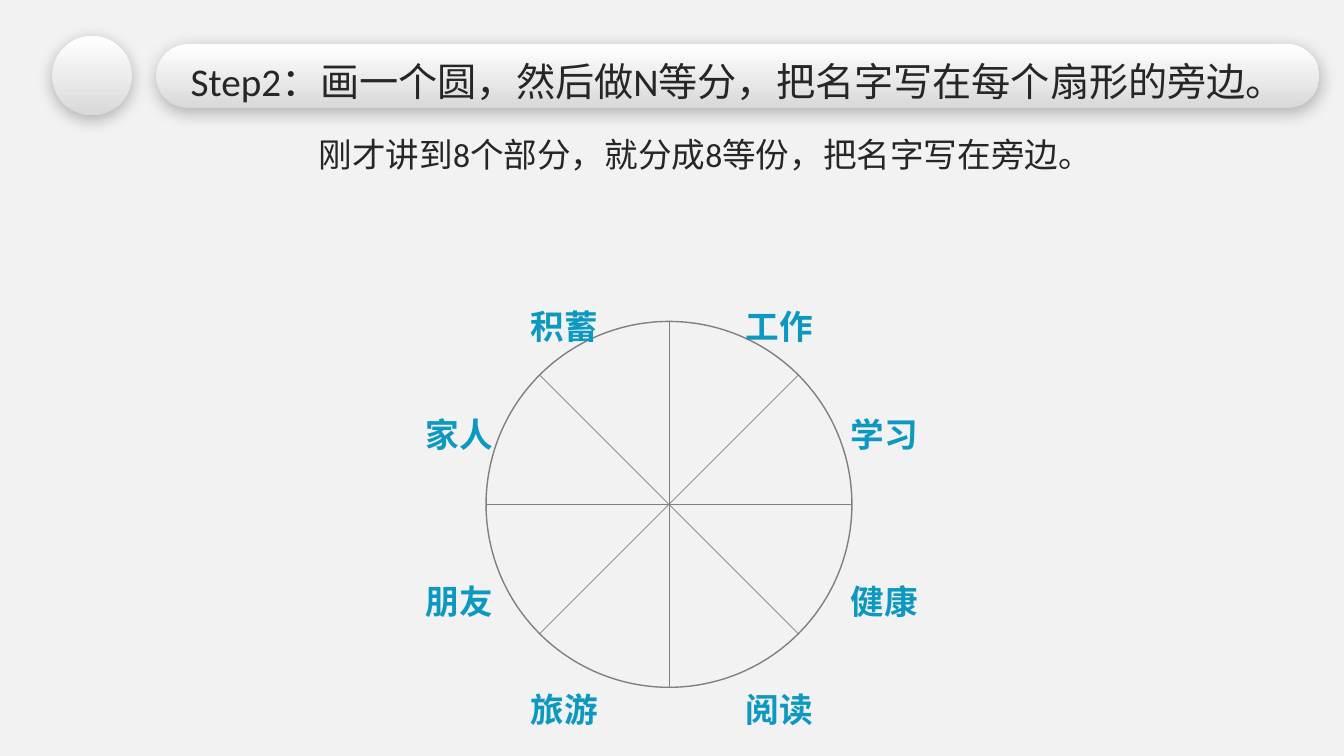
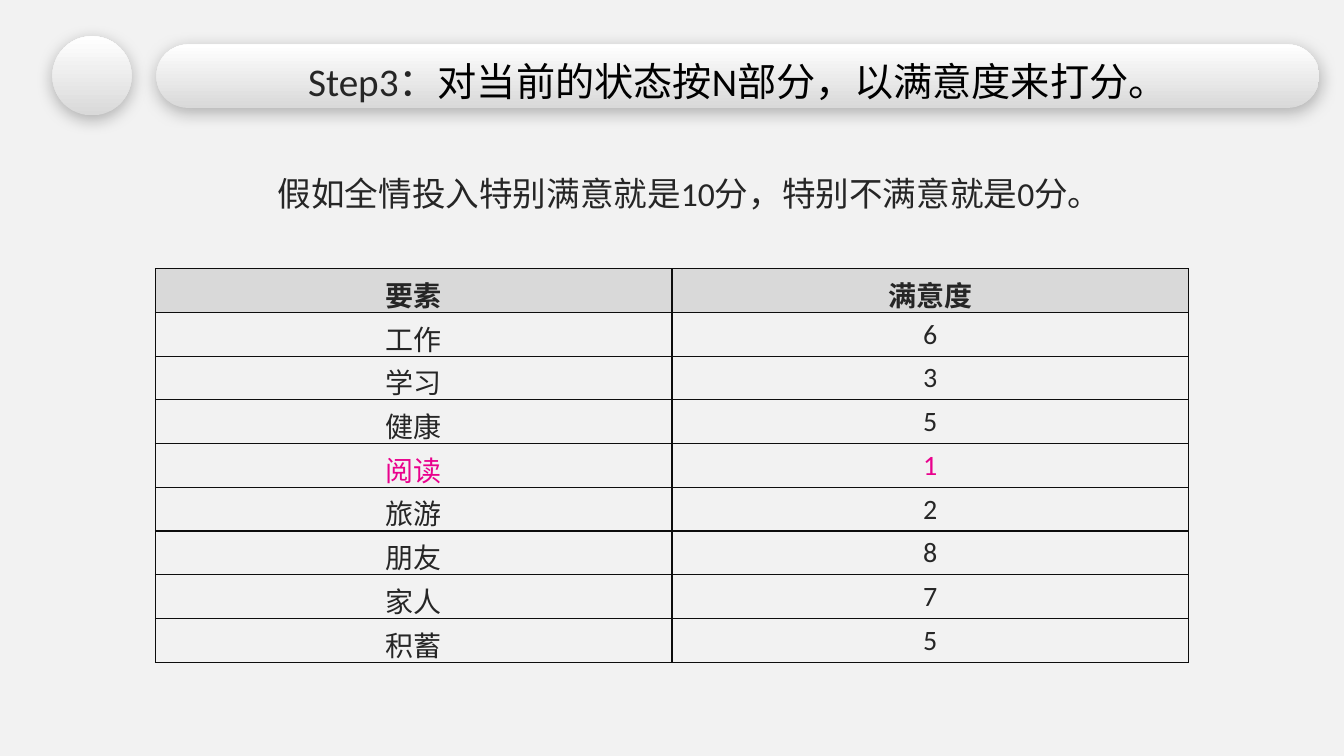
import math

import lxml.etree
import pptx
import pptx.dml.color
import pptx.enum.shapes
import pptx.enum.text
import pptx.oxml.ns
import pptx.util

Cm = pptx.util.Cm
Pt = pptx.util.Pt
qn = pptx.oxml.ns.qn


def rgb(name):
    return pptx.dml.color.RGBColor.from_string(Deck.COLOURS[name])


def add_xml(parent, tag, **attributes):
    return lxml.etree.SubElement(parent, qn(tag), attributes)


class Deck:
    """Hold the shared style and the current slide, and draw its elements."""

    FONT = "Calibri"
    COLOURS = {
        "page": "F2F2F2",
        "ink": "262626",
        "black": "000000",
        "label": "0D99BF",
        "accent": "E9018D",
        "outline": "808080",
        "border": "0D0D0D",
        "silver": "D9D9D9",
        "white": "FFFFFF",
    }

    def __init__(self):
        self.presentation = pptx.Presentation()
        self.presentation.slide_width = Cm(33.87)
        self.presentation.slide_height = Cm(19.05)
        self.slide = None

    def start(self, *title_parts):
        self.slide = self.presentation.slides.add_slide(self.presentation.slide_layouts[6])
        background = self.slide.background.fill
        background.solid()
        background.fore_color.rgb = rgb("page")
        kinds = pptx.enum.shapes.MSO_SHAPE
        bar = self.raised(kinds.ROUNDED_RECTANGLE, 3.94, 1.12, 29.31, 1.6)
        bar.adjustments[0] = 0.5
        self.raised(kinds.OVAL, 1.32, 0.91, 2, 2)
        self.text(title_parts, 3.94, 1.32, 29.31, 1.45, 28, wrap=False)

    def raised(self, kind, left, top, width, height):
        shape = self.slide.shapes.add_shape(kind, Cm(left), Cm(top), Cm(width), Cm(height))
        shape.fill.gradient()
        shape.fill.gradient_angle = 90
        for stop, colour in zip(shape.fill.gradient_stops, ("silver", "white")):
            stop.color.rgb = rgb(colour)
        shape.line.fill.background()
        shape.shadow.inherit = False
        effects = shape._element.spPr.find(qn("a:effectLst"))
        shadow = add_xml(effects, "a:outerShdw", blurRad=str(Pt(12)), dist=str(Pt(3)),
                         dir="5400000", algn="t", rotWithShape="0")
        shade = add_xml(shadow, "a:srgbClr", val=self.COLOURS["black"])
        add_xml(shade, "a:alpha", val="27000")
        return shape

    def style(self, run, size, colour, bold=False):
        run.font.name = self.FONT
        run.font.size = Pt(size)
        run.font.bold = bold
        run.font.color.rgb = rgb(colour)

    def text(self, parts, left, top, width, height, size, bold=False, wrap=True, spacing=None):
        box = self.slide.shapes.add_textbox(Cm(left), Cm(top), Cm(width), Cm(height))
        frame = box.text_frame
        frame.word_wrap = wrap
        frame.auto_size = pptx.enum.text.MSO_AUTO_SIZE.SHAPE_TO_FIT_TEXT
        paragraph = frame.paragraphs[0]
        paragraph.alignment = pptx.enum.text.PP_ALIGN.CENTER
        if spacing:
            paragraph.line_spacing = spacing
        for words, colour in parts:
            run = paragraph.add_run()
            run.text = words
            self.style(run, size, colour, bold)

    def explanation(self, words, left, top, width):
        self.text([(words, "ink")], left, top, width, 1.45, 24, spacing=1.2)

    def line(self, x1, y1, x2, y2):
        line = self.slide.shapes.add_connector(
            pptx.enum.shapes.MSO_CONNECTOR.STRAIGHT, Cm(x1), Cm(y1), Cm(x2), Cm(y2))
        line.line.color.rgb = rgb("outline")
        line.line.width = Pt(0.5)
        add_xml(line._element.spPr, "a:effectLst")

    def wheel(self, centre_x, centre_y, radius, sectors):
        circle = self.slide.shapes.add_shape(
            pptx.enum.shapes.MSO_SHAPE.OVAL, Cm(centre_x - radius), Cm(centre_y - radius),
            Cm(2 * radius), Cm(2 * radius))
        circle.shadow.inherit = False
        circle.fill.background()
        circle.line.color.rgb = rgb("outline")
        circle.line.width = Pt(1)
        for index in range(sectors // 2):
            angle = 2 * math.pi * index / sectors
            dx, dy = radius * math.cos(angle), radius * math.sin(angle)
            self.line(centre_x - dx, centre_y - dy, centre_x + dx, centre_y + dy)

    def sector_names(self, names, centre_x, centre_y):
        width, height = 2.24, 1.27
        right_side = [(2.71, -4.82), (5.36, -2.1), (5.36, 2.1), (2.71, 4.82)]
        left_side = [(-dx, dy) for dx, dy in reversed(right_side)]
        for name, (dx, dy) in zip(names, right_side + left_side):
            self.text([(name, "label")], centre_x + dx - width / 2, centre_y + dy - height / 2,
                      width, height, 24, bold=True, wrap=False)

    def cell(self, cell, words, colour, header):
        cell.text_frame.text = words
        paragraph = cell.text_frame.paragraphs[0]
        paragraph.alignment = pptx.enum.text.PP_ALIGN.CENTER
        self.style(paragraph.runs[0], 20, colour, header)
        properties = cell._tc.get_or_add_tcPr()
        for side in ("a:lnL", "a:lnR", "a:lnT", "a:lnB"):
            border = add_xml(properties, side, w=str(Pt(1)))
            add_xml(add_xml(border, "a:solidFill"), "a:srgbClr", val=self.COLOURS["border"])
        if header:
            cell.fill.solid()
            cell.fill.fore_color.rgb = rgb("silver")
        else:
            cell.fill.background()

    def table(self, rows, highlight, left, top, width, row_height):
        table = self.slide.shapes.add_table(
            len(rows), len(rows[0]), Cm(left), Cm(top), Cm(width),
            Cm(row_height * len(rows))).table
        table.first_row = False
        table.horz_banding = False
        for row_index, row in enumerate(rows):
            colour = "accent" if row[0] == highlight else "ink"
            for column_index, value in enumerate(row):
                self.cell(table.cell(row_index, column_index), str(value), colour,
                          row_index == 0)


def main():
    satisfaction = {"工作": 6, "学习": 3, "健康": 5, "阅读": 1,
                    "旅游": 2, "朋友": 8, "家人": 7, "积蓄": 5}
    deck = Deck()

    deck.start(("Step2：画一个圆，然后做N等分，把名字写在每个扇形的旁边。", "ink"))
    deck.explanation("刚才讲到8个部分，就分成8等份，把名字写在旁边。", 3.12, 3.05, 29.31)
    deck.wheel(16.86, 12.71, 4.61, len(satisfaction))
    deck.sector_names(satisfaction, 16.93, 13.05)

    deck.start(("Step3：", "ink"), ("对当前的状态按N部分，以满意度来打分。", "black"))
    deck.explanation("假如全情投入特别满意就是10分，特别不满意就是0分。", 2.18, 4.04, 30.4)
    deck.table([("要素", "满意度"), *satisfaction.items()], "阅读", 3.92, 6.77, 26.03, 1.1)

    deck.presentation.save("out.pptx")


if __name__ == "__main__":
    main()
